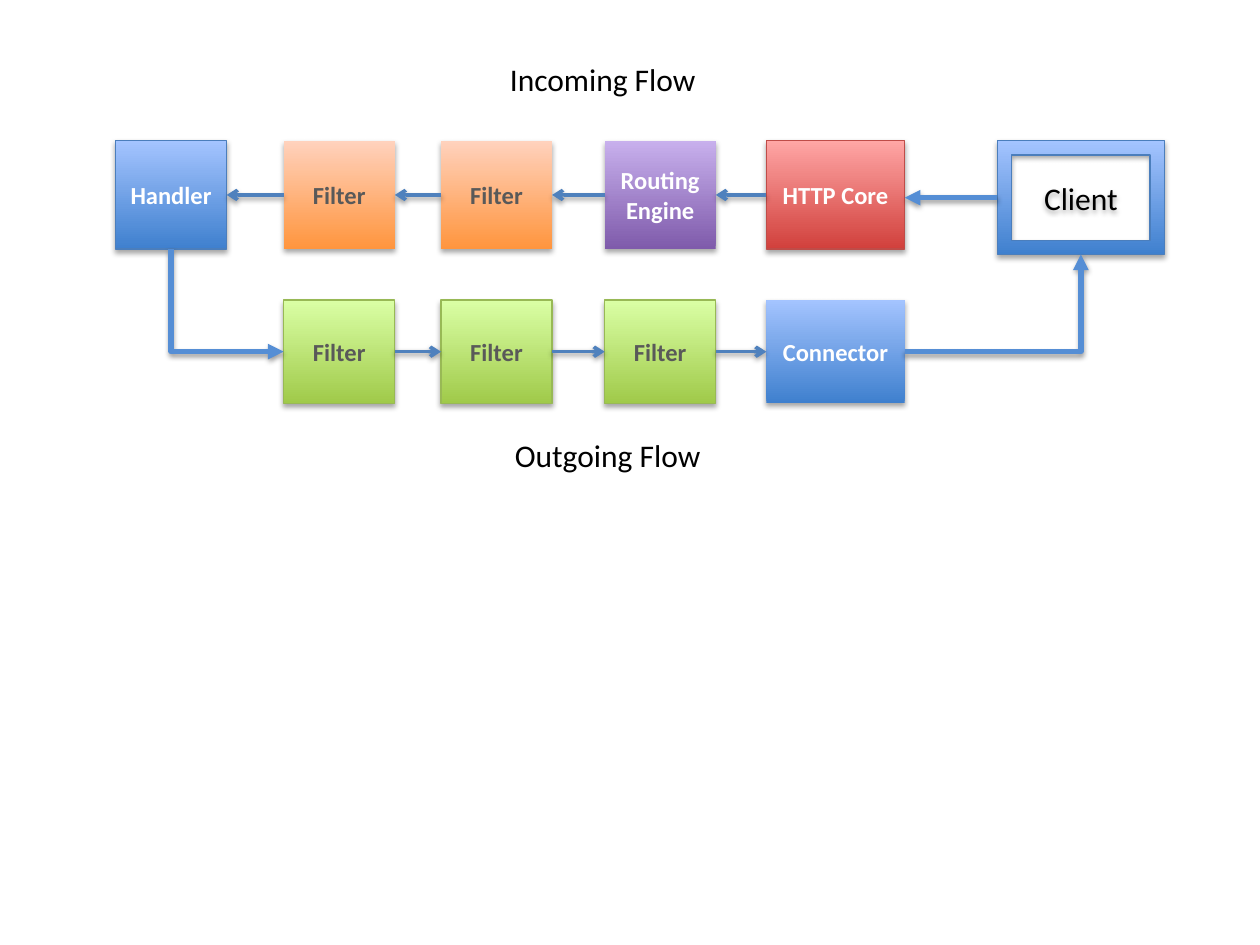
from dataclasses import dataclass

from lxml.etree import SubElement
from pptx import Presentation
from pptx.dml.color import RGBColor
from pptx.enum.shapes import MSO_CONNECTOR, MSO_SHAPE
from pptx.enum.text import MSO_ANCHOR, MSO_AUTO_SIZE, PP_ALIGN
from pptx.oxml.ns import qn
from pptx.util import Cm, Pt

# Connection sites of a rectangle
LEFT, BOTTOM, RIGHT = 1, 2, 3


@dataclass(frozen=True)
class Theme:
    font: str = "Calibri"
    label_size: int = 14
    heading_size: int = 18
    black: str = "000000"
    white: str = "FFFFFF"
    grey: str = "595959"
    # Gradients run from the bottom colour to the top colour
    blue: tuple = ("3F80CE", "A4C4FF")
    green: tuple = ("A0CA4A", "DAFFA5")
    orange: tuple = ("FF953E", "FFD2BD")
    purple: tuple = ("7F5BAB", "C8B0ED")
    red: tuple = ("D1403C", "FFA6A5")
    blue_line: str = "4B7EBC"
    green_line: str = "98B955"
    red_line: str = "BF4C48"
    thin_arrow: str = "4F81BD"
    thick_arrow: str = "558ED5"


def write_text(text_frame, text, *, font, size, color, bold=False, align=PP_ALIGN.LEFT):
    paragraph = text_frame.paragraphs[0]
    paragraph.text = text
    paragraph.alignment = align
    for run in paragraph.runs:
        run.font.name = font
        run.font.size = Pt(size)
        run.font.bold = bold
        run.font.color.rgb = RGBColor.from_string(color)


def add_shadow(shape, opacity, distance):
    properties = shape._element.spPr
    effects = properties.find(qn("a:effectLst"))
    if effects is None:
        effects = SubElement(properties, qn("a:effectLst"))
    shadow = SubElement(effects, qn("a:outerShdw"), blurRad=str(Pt(3.1)),
                        dist=str(Pt(distance)), dir="5400000", rotWithShape="0")
    color = SubElement(shadow, qn("a:srgbClr"), val="000000")
    SubElement(color, qn("a:alpha"), val=str(opacity * 1000))


class FlowSlide:
    def __init__(self, slide, theme):
        self.slide = slide
        self.theme = theme

    def box(self, text, left, top, width, height, gradient, line=None, color=None,
            size=None, bold=True, kind=MSO_SHAPE.RECTANGLE):
        shape = self.slide.shapes.add_shape(kind, Cm(left), Cm(top), Cm(width), Cm(height))
        shape.fill.gradient()
        shape.fill.gradient_angle = 90
        for stop, stop_color in zip(shape.fill.gradient_stops, gradient):
            stop.color.rgb = RGBColor.from_string(stop_color)
        if line:
            shape.line.color.rgb = RGBColor.from_string(line)
            shape.line.width = Pt(0.75)
        else:
            shape.line.fill.background()
        shape.shadow.inherit = False
        add_shadow(shape, opacity=35, distance=1.8)
        shape.text_frame.vertical_anchor = MSO_ANCHOR.MIDDLE
        write_text(shape.text_frame, text, font=self.theme.font,
                   size=size or self.theme.label_size, color=color or self.theme.white,
                   bold=bold, align=PP_ALIGN.CENTER)
        return shape

    def heading(self, text, left, top):
        shape = self.slide.shapes.add_textbox(Cm(left), Cm(top), Cm(4.29), Cm(1.02))
        shape.text_frame.word_wrap = False
        shape.text_frame.auto_size = MSO_AUTO_SIZE.SHAPE_TO_FIT_TEXT
        write_text(shape.text_frame, text, font=self.theme.font,
                   size=self.theme.heading_size, color=self.theme.black)

    def connector(self, kind, start, start_site, end, end_site, color, width, arrow,
                  arrow_end="a:tailEnd"):
        link = self.slide.shapes.add_connector(kind, 0, 0, 0, 0)
        link.begin_connect(start, start_site)
        if end_site is None:
            # Run level to the right edge of the end shape
            link.end_x, link.end_y = end.left + end.width, link.begin_y
        else:
            link.end_connect(end, end_site)
        link.line.color.rgb = RGBColor.from_string(color)
        link.line.width = Pt(width)
        SubElement(link.line._get_or_add_ln(), qn(arrow_end), type=arrow)
        add_shadow(link, opacity=38, distance=1.6)
        return link

    def step(self, start, start_site, end, end_site):
        self.connector(MSO_CONNECTOR.STRAIGHT, start, start_site, end, end_site,
                       self.theme.thin_arrow, 2, "arrow")

    def elbow(self, start, start_site, end, end_site, corner=True, **options):
        link = self.connector(MSO_CONNECTOR.ELBOW, start, start_site, end, end_site,
                              self.theme.thick_arrow, 3, "triangle", **options)
        if corner:
            link._element.spPr.find(qn("a:prstGeom")).set("prst", "bentConnector2")


presentation = Presentation()
presentation.slide_width, presentation.slide_height = Cm(25.4), Cm(19.05)
theme = Theme()
flow = FlowSlide(presentation.slides.add_slide(presentation.slide_layouts[6]), theme)

# Columns and rows shared by both flows
columns = [2.33, 5.72, 8.89, 12.19, 15.45]
narrow, wide = 2.24, 2.79
incoming_top, incoming_height = 2.84, 2.18
outgoing_top, outgoing_height = 6.05, 2.08

# Incoming flow, left to right
incoming_steps = [
    ("Handler", narrow, theme.blue, theme.blue_line, theme.white),
    ("Filter", narrow, theme.orange, None, theme.grey),
    ("Filter", narrow, theme.orange, None, theme.grey),
    ("Routing\vEngine", narrow, theme.purple, None, theme.white),
    ("HTTP Core", wide, theme.red, theme.red_line, theme.white),
]
incoming = [
    flow.box(text, left, incoming_top, width, incoming_height, gradient, line, color)
    for left, (text, width, gradient, line, color) in zip(columns, incoming_steps)
]

# Outgoing flow, left to right
outgoing_steps = [("Filter", narrow, theme.green, theme.green_line, theme.grey)] * 3
outgoing_steps.append(("Connector", wide, theme.blue, None, theme.white))
outgoing = [
    flow.box(text, left, outgoing_top, width, outgoing_height, gradient, line, color)
    for left, (text, width, gradient, line, color) in zip(columns[1:], outgoing_steps)
]

# Client
client = flow.box("Client", 20.11, incoming_top, 3.36, 2.29, theme.blue, theme.blue_line,
                  theme.black, size=theme.heading_size, bold=False, kind=MSO_SHAPE.FRAME)

# Arrows between neighbouring steps
for left_box, right_box in zip(incoming, incoming[1:]):
    flow.step(right_box, LEFT, left_box, RIGHT)
for left_box, right_box in zip(outgoing, outgoing[1:]):
    flow.step(left_box, RIGHT, right_box, LEFT)

# Arrows that close the loop
flow.elbow(client, LEFT, incoming[-1], None, corner=False)
flow.elbow(outgoing[-1], RIGHT, client, BOTTOM)
flow.elbow(outgoing[0], LEFT, incoming[0], BOTTOM, arrow_end="a:headEnd")

# Headings
flow.heading("Incoming Flow", 10.03, 1.09)
flow.heading("Outgoing Flow", 10.13, 8.66)

presentation.save("out.pptx")
